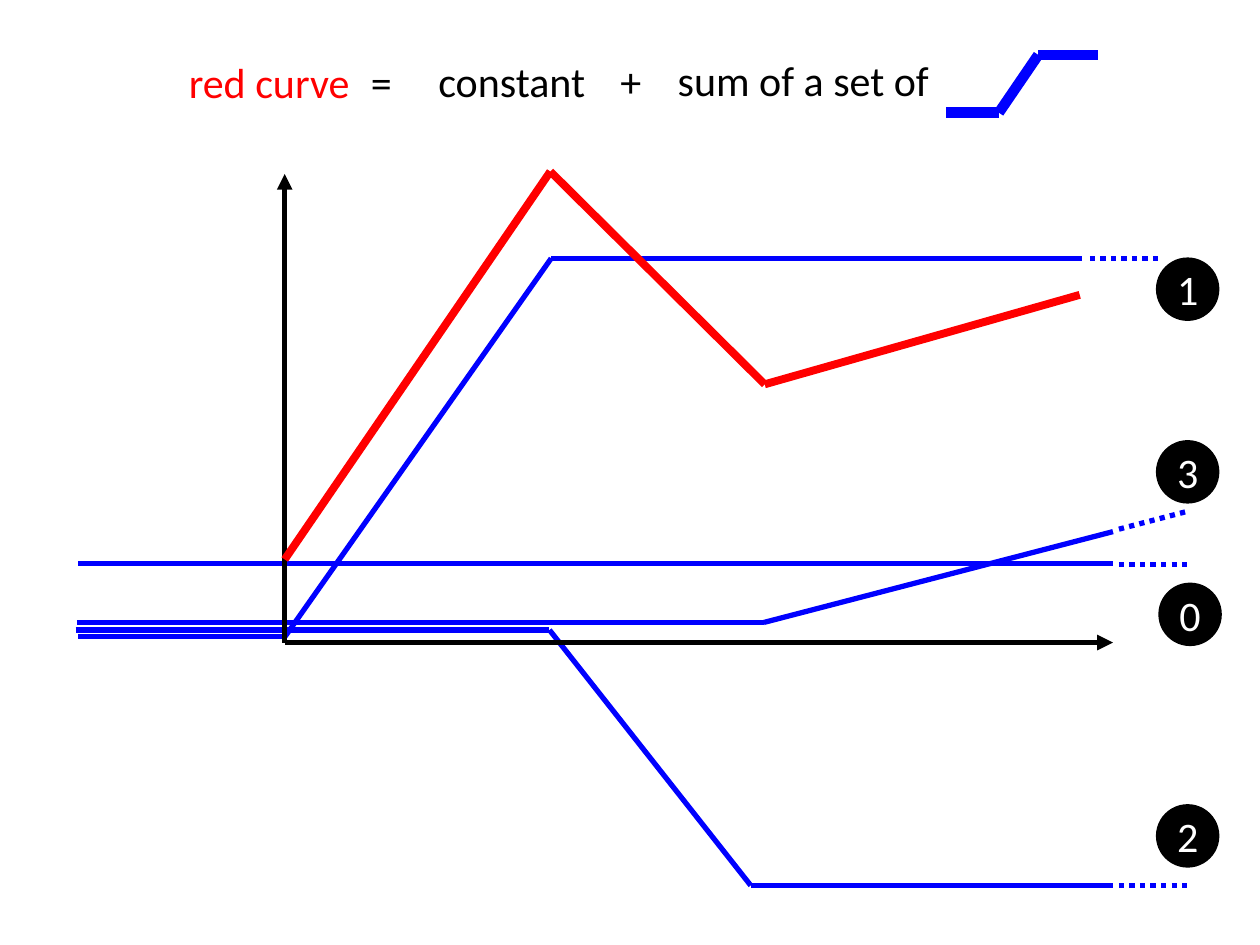
from itertools import pairwise

from lxml.etree import SubElement
from pptx import Presentation
from pptx.dml.color import RGBColor
from pptx.enum.dml import MSO_LINE
from pptx.enum.shapes import MSO_CONNECTOR, MSO_SHAPE
from pptx.enum.text import MSO_ANCHOR, PP_ALIGN
from pptx.oxml.ns import qn
from pptx.util import Pt

BLUE = RGBColor(0x00, 0x00, 0xFF)
RED = RGBColor(0xFF, 0x00, 0x00)
BLACK = RGBColor(0x00, 0x00, 0x00)
WHITE = RGBColor(0xFF, 0xFF, 0xFF)
FONT = "Calibri"
FONT_SIZE = Pt(24)
BADGE_SIZE = 35.3

# Each curve: number, solid corners, dotted continuation, badge position
CURVES = [
    ("0", [(1.6, 223.8), (593, 223.8)], [(596.4, 224.6), (636, 224.6)], (619.4, 235.4)),
    ("1", [(1.6, 265.6), (120, 265.6), (272, 49.6), (575.5, 49.6)],
     [(579.8, 49.6), (619.4, 49.6)], (618, 49.6)),
    ("2", [(0.2, 262), (271, 262), (386, 408), (593, 408)],
     [(596.4, 408), (635.2, 408)], (618, 362)),
    ("3", [(1, 257.7), (393.5, 257.7), (593, 205.8)],
     [(596.4, 204.4), (635.2, 194.3)], (618, 154)),
]
RED_CURVE = [(119.7, 221.7), (271.5, 0), (394, 121.6), (574, 70.5)]
ORIGIN = (119.7, 269.2)
AXIS_ENDS = [(593, 269.2), (119.7, 1.4)]
STEP = [(440, 37), (470, 37), (492.5, 4), (526.5, 4)]


def add_polyline(shapes, box, points, color, width, dash=None, arrow=False):
    """Join consecutive points, given relative to the box, with straight lines."""
    left, top = box
    for (x1, y1), (x2, y2) in pairwise(points):
        connector = shapes.add_connector(
            MSO_CONNECTOR.STRAIGHT,
            Pt(left + x1), Pt(top + y1), Pt(left + x2), Pt(top + y2))
        connector.line.color.rgb = color
        connector.line.width = Pt(width)
        if dash is not None:
            connector.line.dash_style = dash
        if arrow:
            SubElement(connector.line._get_or_add_ln(), qn("a:tailEnd"), type="triangle")
        SubElement(connector._element.spPr, qn("a:effectLst"))


def format_run(run, color):
    run.font.name = FONT
    run.font.size = FONT_SIZE
    run.font.color.rgb = color


def add_term(shapes, left, top, parts):
    """Add one term of the formula; parts are (text, color) pairs."""
    text_box = shapes.add_textbox(Pt(left), Pt(top), Pt(188), Pt(36))
    text_box.text_frame.word_wrap = True
    paragraph = text_box.text_frame.paragraphs[0]
    tab_list = SubElement(paragraph._p.get_or_add_pPr(), qn("a:tabLst"))
    SubElement(tab_list, qn("a:tab"), pos=str(Pt(104)), algn="l")
    for text, color in parts:
        run = paragraph.add_run()
        run.text = text
        format_run(run, color)


def add_formula(shapes, box):
    left, top = box
    add_polyline(shapes, box, STEP, BLUE, 6)
    add_term(shapes, left + 279.4, top, [("sum of a set of", BLACK)])
    add_term(shapes, left + 142.6, top + 0.7, [("constant\t+", BLACK)])
    add_term(shapes, left, top + 1.4, [("red curve", RED), ("\t=", BLACK)])


def add_badge(shapes, left, top, number):
    badge = shapes.add_shape(
        MSO_SHAPE.OVAL, Pt(left), Pt(top), Pt(BADGE_SIZE), Pt(BADGE_SIZE))
    badge.shadow.inherit = False
    badge.fill.solid()
    badge.fill.fore_color.rgb = BLACK
    badge.line.color.rgb = BLACK
    badge.line.width = Pt(1)
    frame = badge.text_frame
    frame.margin_left = frame.margin_right = 0
    frame.margin_top = frame.margin_bottom = 0
    frame.word_wrap = False
    frame.vertical_anchor = MSO_ANCHOR.MIDDLE
    frame.text = number
    frame.paragraphs[0].alignment = PP_ALIGN.CENTER
    format_run(frame.paragraphs[0].runs[0], WHITE)


def add_graph(shapes, box):
    left, top = box
    for _, corners, _, _ in CURVES:
        add_polyline(shapes, box, corners, BLUE, 3)
    for end in AXIS_ENDS:
        add_polyline(shapes, box, [ORIGIN, end], BLACK, 3, arrow=True)
    add_polyline(shapes, box, RED_CURVE, RED, 4.5)
    for number, _, continuation, (x, y) in CURVES:
        add_polyline(shapes, box, continuation, BLUE, 3, dash=MSO_LINE.ROUND_DOT)
        add_badge(shapes, left + x, top + y, number)


def main():
    presentation = Presentation()
    presentation.slide_width = Pt(720)
    presentation.slide_height = Pt(540)
    slide = presentation.slides.add_slide(presentation.slide_layouts[6])
    add_graph(slide.shapes, (43, 98))
    add_formula(slide.shapes, (100.8, 27.4))
    presentation.save("out.pptx")


if __name__ == "__main__":
    main()
